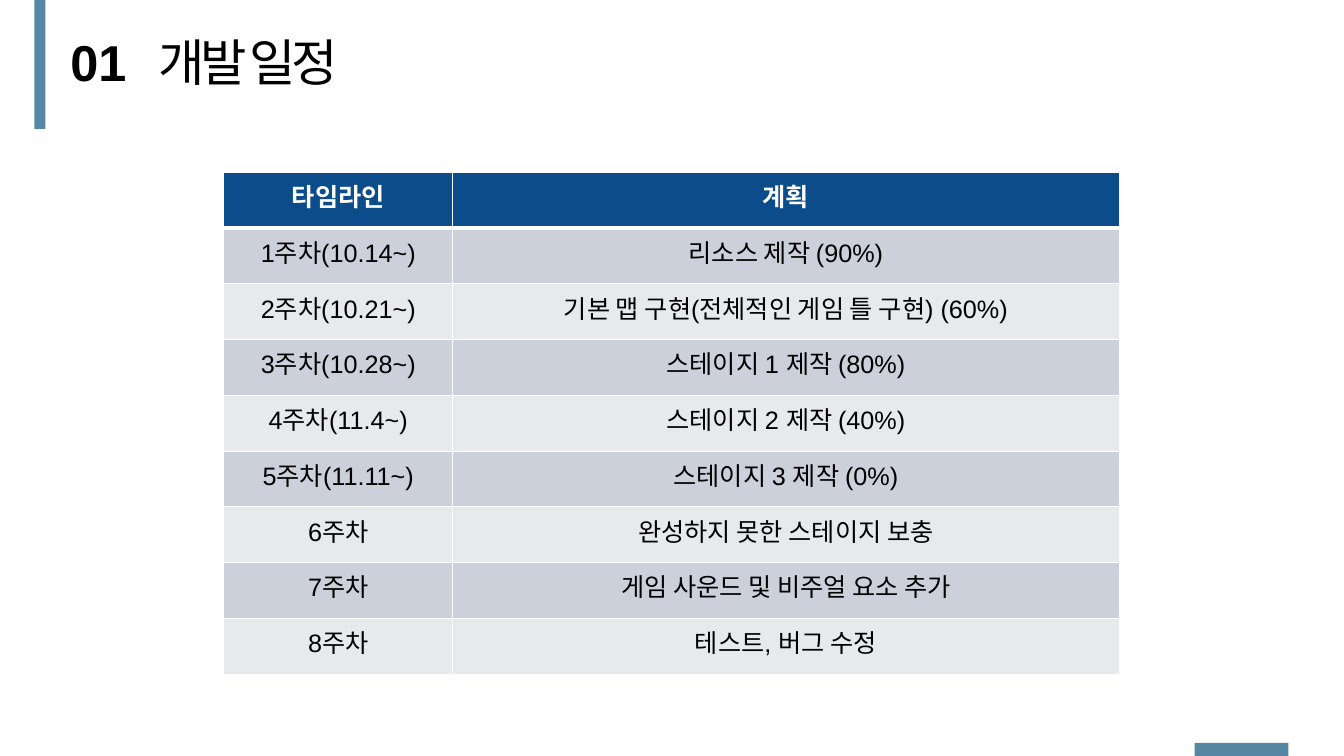
import pptx
import pptx.dml.color
import pptx.enum.shapes
import pptx.enum.text
import pptx.oxml
import pptx.oxml.ns
import pptx.util

SCALE = 9144
COLORS = {
    "accent": "5587A2",
    "header": "0C4C8A",
    "odd": "CCD0DA",
    "even": "E7E9ED",
    "white": "FFFFFF",
    "black": "000000",
}
SCHEDULE = [
    ("타임라인", "계획"),
    ("1주차(10.14~)", "리소스 제작 (90%)"),
    ("2주차(10.21~)", "기본 맵 구현(전체적인 게임 틀 구현) (60%)"),
    ("3주차(10.28~)", "스테이지 1 제작 (80%)"),
    ("4주차(11.4~)", "스테이지 2 제작 (40%)"),
    ("5주차(11.11~)", "스테이지 3 제작 (0%)"),
    ("6주차", "완성하지 못한 스테이지 보충"),
    ("7주차", "게임 사운드 및 비주얼 요소 추가"),
    ("8주차", "테스트, 버그 수정"),
]
COLUMN_WIDTHS = (227, 661)


def px(value):
    return pptx.util.Emu(value * SCALE)


def color(name):
    return pptx.dml.color.RGBColor.from_string(COLORS[name])


def style_font(font, size, color_name, bold=False):
    font.name = "Arial"
    font.size = pptx.util.Pt(size)
    font.bold = bold
    font.color.rgb = color(color_name)


def add_bar(slide, left, top, width, height):
    shape = slide.shapes.add_shape(
        pptx.enum.shapes.MSO_SHAPE.RECTANGLE, px(left), px(top), px(width), px(height)
    )
    shape.shadow.inherit = False
    shape.fill.solid()
    shape.fill.fore_color.rgb = color("accent")
    shape.line.fill.background()


def add_heading(slide, left, width, text, bold=False, spacing=0):
    box = slide.shapes.add_textbox(px(left), px(26), px(width), px(71))
    frame = box.text_frame
    frame.word_wrap = False
    frame.auto_size = pptx.enum.text.MSO_AUTO_SIZE.SHAPE_TO_FIT_TEXT
    paragraph = frame.paragraphs[0]
    run = paragraph.add_run()
    run.text = text
    style_font(paragraph.font, 36, "black", bold)
    if spacing:
        run._r.get_or_add_rPr().set("spc", str(spacing * 100))


def add_cell_border(cell, side, width):
    border = pptx.oxml.parse_xml(
        f'<a:{side} {pptx.oxml.ns.nsdecls("a")} w="{pptx.util.Pt(width)}">'
        f'<a:solidFill><a:srgbClr val="{COLORS["white"]}"/></a:solidFill></a:{side}>'
    )
    cell._tc.get_or_add_tcPr().append(border)


def fill_cell(cell, text, row):
    is_header = row == 0
    widths = {"lnL": 1, "lnR": 1, "lnT": 3 if row == 1 else 1, "lnB": 3 if is_header else 1}
    for side, width in widths.items():
        add_cell_border(cell, side, width)
    cell.fill.solid()
    cell.fill.fore_color.rgb = color("header" if is_header else "odd" if row % 2 else "even")
    cell.text = text
    paragraph = cell.text_frame.paragraphs[0]
    paragraph.alignment = pptx.enum.text.PP_ALIGN.CENTER
    style_font(paragraph.font, 18, "white" if is_header else "black", is_header)


def add_schedule(slide, left, top, height):
    table = slide.shapes.add_table(
        len(SCHEDULE), len(COLUMN_WIDTHS), px(left), px(top), px(sum(COLUMN_WIDTHS)), px(height)
    ).table
    for column, width in zip(table.columns, COLUMN_WIDTHS):
        column.width = px(width)
    for row, texts in enumerate(SCHEDULE):
        for column, text in enumerate(texts):
            fill_cell(table.cell(row, column), text, row)


def main():
    presentation = pptx.Presentation()
    presentation.slide_width = px(1333)
    presentation.slide_height = px(750)
    slide = presentation.slides.add_slide(presentation.slide_layouts[6])
    add_bar(slide, 34, 0, 11, 128)
    add_bar(slide, 1185, 737, 93, 13)
    add_heading(slide, 60, 76, "01", bold=True)
    add_heading(slide, 147, 215, "개발 일정", spacing=-3)
    add_schedule(slide, 222, 171, 498)
    presentation.save("out.pptx")


if __name__ == "__main__":
    main()
